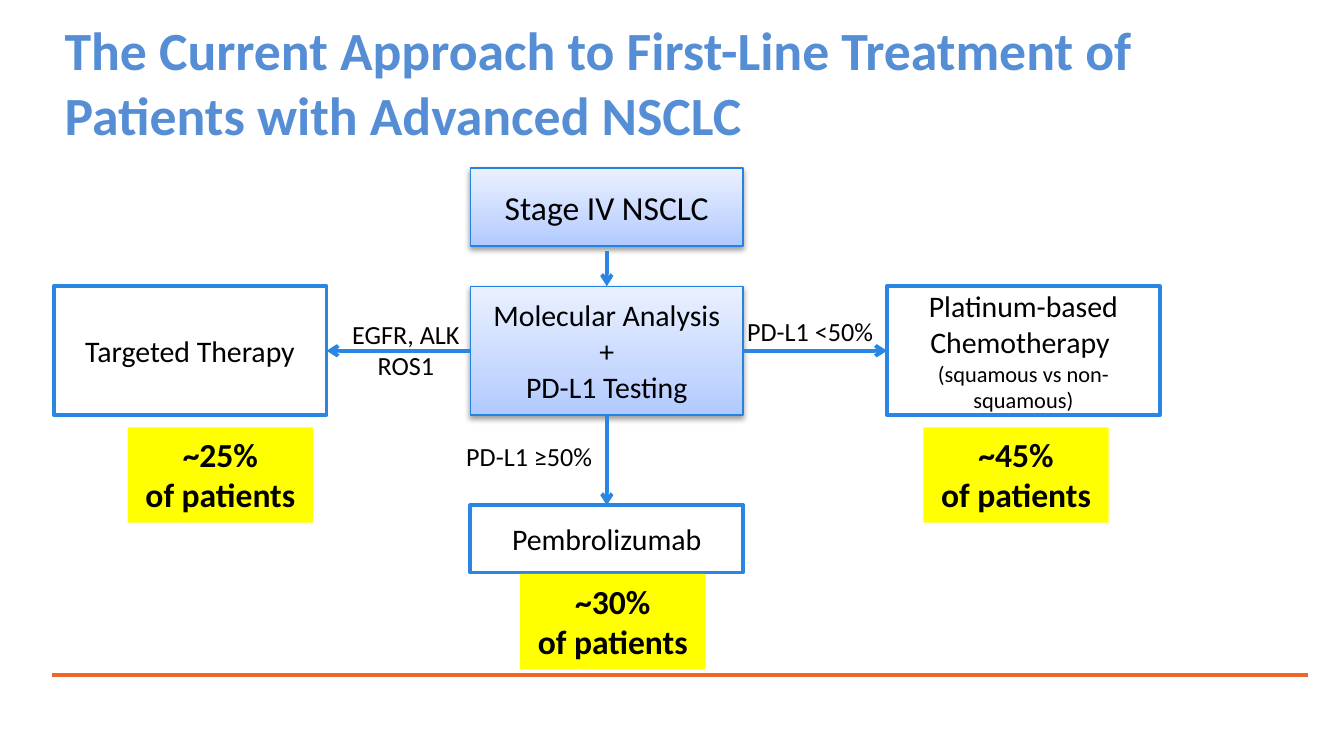
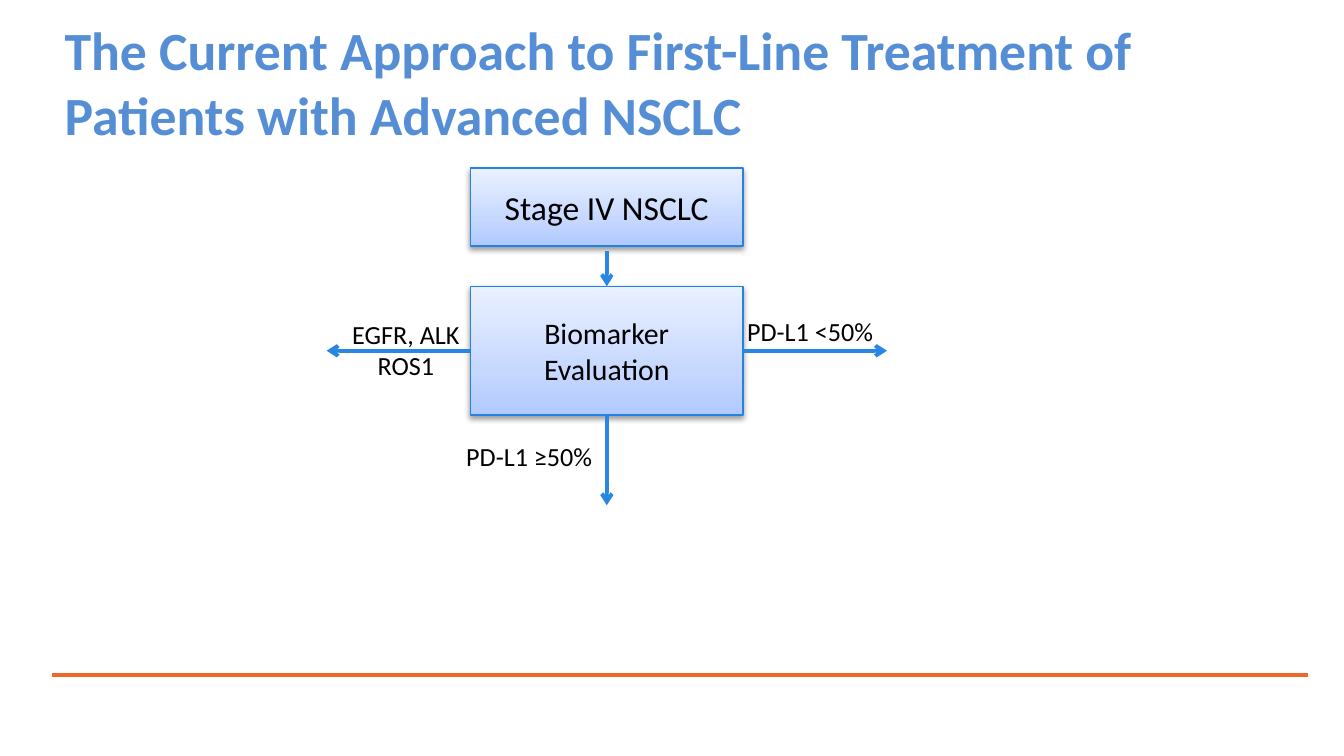
from dataclasses import dataclass

from lxml.etree import SubElement
from pptx import Presentation
from pptx.dml.color import RGBColor
from pptx.enum.shapes import MSO_CONNECTOR, MSO_SHAPE
from pptx.enum.text import MSO_ANCHOR, MSO_AUTO_SIZE, PP_ALIGN
from pptx.oxml.ns import qn
from pptx.util import Inches, Pt


@dataclass(frozen=True)
class Theme:
    font: str = "Calibri"
    ink: str = "000000"
    head: str = "558ED5"
    paper: str = "FFFFFF"
    edge: str = "2483E2"
    flow: str = "2986E2"
    rule: str = "F26529"
    mark: str = "FFFF00"
    fade: tuple = ((0, "B0C9FF"), (35, "C7D8FF"), (100, "EAF0FF"))
    title: float = 28.8
    large: int = 18
    body: int = 16
    label: int = 14
    small: int = 12


theme = Theme()
rgb = RGBColor.from_string

# Grid: three columns of boxes, three rows
cols = [Inches(0.4 + 3.1 * n) for n in range(3)]
rows = [Inches(y) for y in (1.25, 2.13, 3.76)]
wide, tall = Inches(2.03), Inches(0.96)
gap = Inches(0.04)
top, left, bottom, right = range(4)


def write(shape, text, size, color=theme.ink, bold=False, snug=False, align=PP_ALIGN.CENTER):
    frame = shape.text_frame
    frame.text = text
    frame.word_wrap = not snug
    frame.auto_size = MSO_AUTO_SIZE.SHAPE_TO_FIT_TEXT if snug else MSO_AUTO_SIZE.NONE
    frame.vertical_anchor = MSO_ANCHOR.TOP if snug else MSO_ANCHOR.MIDDLE
    for para in frame.paragraphs:
        para.alignment = align
        para.font.name = theme.font
        para.font.size = Pt(size)
        para.font.bold = bold
        para.font.color.rgb = rgb(color)


def draw(slide, start, end, color, width, arrow=True):
    line = slide.shapes.add_connector(MSO_CONNECTOR.STRAIGHT, *start, *end)
    line.line.color.rgb = rgb(color)
    line.line.width = Pt(width)
    look = line.element.spPr
    if arrow:
        SubElement(look.find(qn("a:ln")), qn("a:tailEnd"), type="arrow")
    SubElement(look, qn("a:effectLst"))
    return line


# Content
title = "The Current Approach to First-Line Treatment of Patients with Advanced NSCLC"
plans = [("Molecular Analysis +\nPD-L1 Testing", True), ("Biomarker Evaluation", False)]
ends = [
    ("Targeted Therapy", cols[0], rows[1], tall),
    ("Platinum-based Chemotherapy ", cols[2], rows[1], tall),
    ("Pembrolizumab", cols[1], rows[2], Inches(0.5)),
]
routes = [(left, right), (right, left), (bottom, top)]
labels = [
    ("EGFR, ALK\nROS1", PP_ALIGN.CENTER, 2.48, 2.32, 1.08, 0.57),
    ("PD-L1 <50%", PP_ALIGN.LEFT, 5.46, 2.3, 1.19, 0.34),
    ("PD-L1 ≥50%", PP_ALIGN.LEFT, 3.37, 3.23, 1.19, 0.34),
]
shares = [("~25%", 0.95, 3.18), ("~45%", 6.87, 3.18), ("~30%", 3.87, 4.27)]

# Widescreen deck, 16 to 9
deck = Presentation()
deck.slide_width = Inches(10)
deck.slide_height = deck.slide_width * 9 // 16

for test, full in plans:
    slide = deck.slides.add_slide(deck.slide_layouts[5])
    shapes = slide.shapes

    # Title and footer rule
    head = shapes.title
    head.left, head.top = Inches(0.38), Inches(0.14)
    head.width, head.height = Inches(9.35), Inches(0.93)
    write(head, title, theme.title, theme.head, bold=True, align=PP_ALIGN.LEFT)
    base = Inches(5.02)
    draw(slide, (Inches(0.39), base), (Inches(9.73), base), theme.rule, 2.25, arrow=False)

    # Shaded steps down the middle column
    steps = []
    for text, y, high, size in [
        ("Stage IV NSCLC", rows[0], Inches(0.58), theme.large),
        (test, rows[1], tall, theme.body),
    ]:
        step = shapes.add_shape(MSO_SHAPE.RECTANGLE, cols[1], y, wide, high)
        step.fill.gradient()
        step.fill.gradient_angle = 90
        stops = step.element.spPr.find(".//" + qn("a:gsLst"))
        stops.clear()
        for pos, color in theme.fade:
            stop = SubElement(stops, qn("a:gs"), pos=str(pos * 1000))
            SubElement(stop, qn("a:srgbClr"), val=color)
        step.line.color.rgb = rgb(theme.edge)
        step.line.width = Pt(0.75)
        step.shadow.inherit = False
        cast = SubElement(
            step.element.spPr.find(qn("a:effectLst")), qn("a:outerShdw"),
            blurRad=str(Pt(3.1)), dist=str(Pt(1.6)), dir="5400000", rotWithShape="0",
        )
        shade = SubElement(cast, qn("a:srgbClr"), val=theme.ink)
        SubElement(shade, qn("a:alpha"), val="38000")
        write(step, text, size)
        steps.append(step)
    stage, hub = steps
    mid = cols[1] + wide // 2
    drop = draw(slide, (mid, stage.top + stage.height + gap), (mid, rows[1]), theme.flow, 2)
    drop.end_connect(hub, top)

    # Treatments, with the share of patients for each
    goals = []
    if full:
        for text, x, y, high in ends:
            goal = shapes.add_shape(MSO_SHAPE.RECTANGLE, x, y, wide, high)
            goal.fill.solid()
            goal.fill.fore_color.rgb = rgb(theme.paper)
            goal.line.color.rgb = rgb(theme.flow)
            goal.line.width = Pt(2)
            goal.shadow.inherit = False
            write(goal, text, theme.body)
            goals.append(goal)
        note = goals[1].text_frame.paragraphs[0].add_run()
        note.text = " (squamous vs non-squamous)"
        note.font.size = Pt(theme.small)
        for share, x, y in shares:
            badge = shapes.add_textbox(Inches(x), Inches(y), Inches(1.38), Inches(0.71))
            badge.fill.solid()
            badge.fill.fore_color.rgb = rgb(theme.mark)
            write(badge, share + "\nof patients", theme.large, bold=True, snug=True)

    # Arrows from the test to each treatment
    level = rows[1] + tall // 2
    tips = [(cols[0] + wide, level), (cols[2], level), (mid, rows[2])]
    for n, (out, into) in enumerate(routes):
        arrow = draw(slide, (mid, level), tips[n], theme.flow, 2)
        arrow.begin_connect(hub, out)
        if full:
            arrow.end_connect(goals[n], into)

    # Test results beside the arrows
    for text, align, *spot in labels:
        label = shapes.add_textbox(*map(Inches, spot))
        write(label, text, theme.label, snug=True, align=align)

deck.save("out.pptx")
